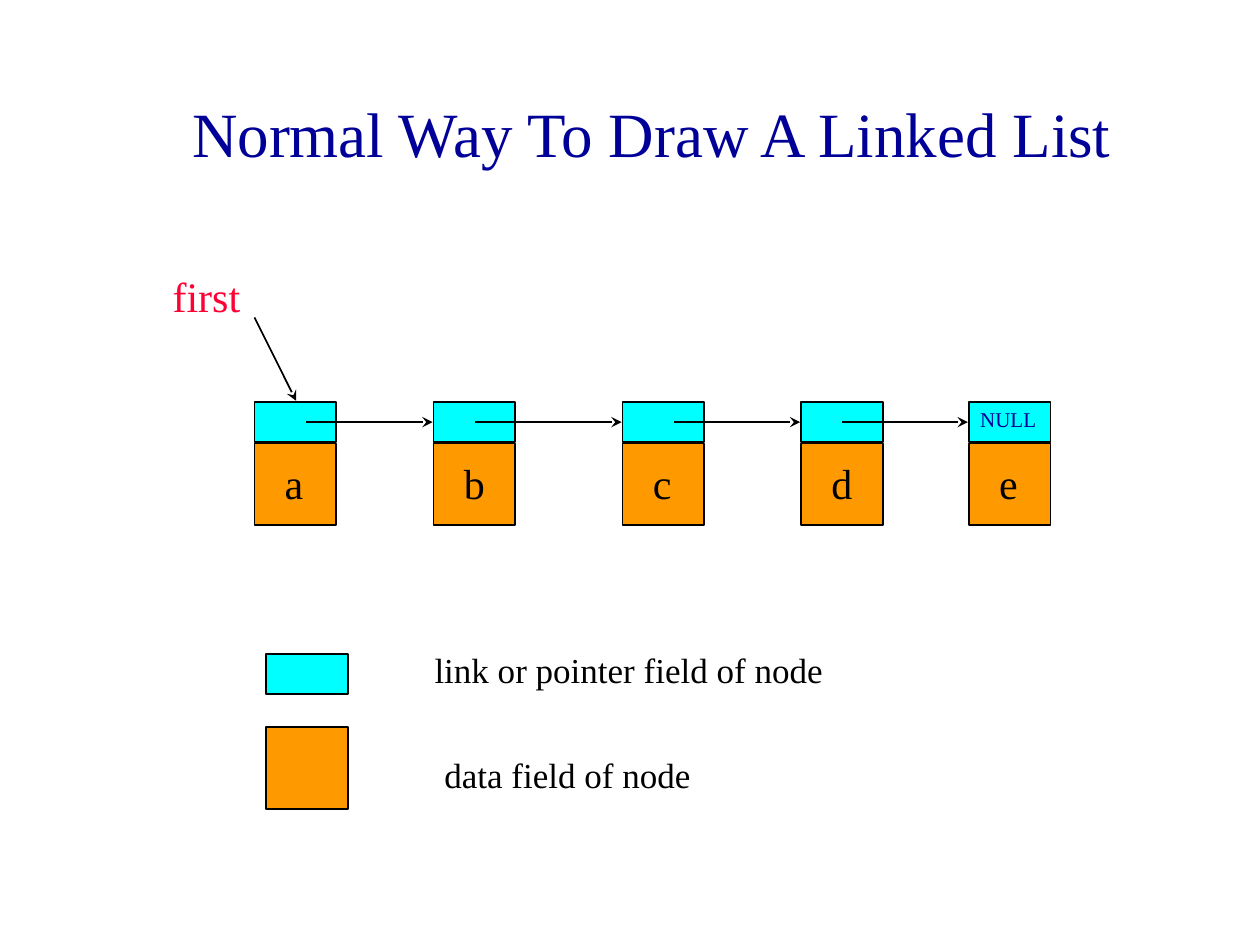
from lxml.etree import SubElement
from pptx import Presentation
from pptx.dml.color import RGBColor
from pptx.enum.shapes import MSO_CONNECTOR, MSO_SHAPE
from pptx.enum.text import MSO_ANCHOR, PP_ALIGN
from pptx.oxml.ns import qn
from pptx.util import Cm, Pt

NAVY = RGBColor(0x00, 0x00, 0x99)
CYAN = RGBColor(0x00, 0xFF, 0xFF)
ORANGE = RGBColor(0xFF, 0x99, 0x00)
RED = RGBColor(0xFF, 0x00, 0x33)
BLACK = RGBColor(0x00, 0x00, 0x00)

FIELD_WIDTH, LINK_HEIGHT, DATA_HEIGHT = 1.65, 0.81, 1.65


class ListSlide:
    """Holds the drawing style and the slide; all lengths are in cm."""

    font = "Times New Roman"
    line_width = Pt(1)

    def __init__(self, slide):
        self.slide = slide

    def text(self, words, left, top, width, height, size, color=BLACK,
             align=PP_ALIGN.LEFT, anchor=MSO_ANCHOR.TOP, wrap=True):
        box = self.slide.shapes.add_textbox(Cm(left), Cm(top), Cm(width), Cm(height))
        frame = box.text_frame
        frame.word_wrap = wrap
        frame.vertical_anchor = anchor
        paragraph = frame.paragraphs[0]
        paragraph.alignment = align
        run = paragraph.add_run()
        run.text = words
        run.font.name = self.font
        run.font.size = Pt(size)
        run.font.color.rgb = color

    def field(self, left, top, height, color):
        rect = self.slide.shapes.add_shape(
            MSO_SHAPE.RECTANGLE, Cm(left), Cm(top), Cm(FIELD_WIDTH), Cm(height))
        rect.shadow.inherit = False
        rect.fill.solid()
        rect.fill.fore_color.rgb = color
        rect.line.color.rgb = BLACK
        rect.line.width = self.line_width

    def link_field(self, left, top):
        self.field(left, top, LINK_HEIGHT, CYAN)

    def data_field(self, left, top):
        self.field(left, top, DATA_HEIGHT, ORANGE)

    def arrow(self, x1, y1, x2, y2):
        pointer = self.slide.shapes.add_connector(
            MSO_CONNECTOR.STRAIGHT, Cm(x1), Cm(y1), Cm(x2), Cm(y2))
        pointer.line.color.rgb = BLACK
        pointer.line.width = self.line_width
        SubElement(pointer.line._get_or_add_ln(), qn("a:tailEnd"), type="stealth")
        SubElement(pointer._element.spPr, qn("a:effectLst"))


def main():
    deck = Presentation()
    deck.slide_width, deck.slide_height = Cm(25.4), Cm(19.05)
    page = ListSlide(deck.slides.add_slide(deck.slide_layouts[6]))

    # Title
    page.text("Normal Way To Draw A Linked List", 2.34, 1.07, 21.59, 3.18, 36,
              NAVY, PP_ALIGN.CENTER, MSO_ANCHOR.MIDDLE)

    # Legend
    legend_left = 5.36
    page.link_field(legend_left, 13.18)
    page.text("link or pointer field of node", 8.51, 12.95, 9.7, 1.09, 20)
    page.data_field(legend_left, 14.66)
    page.text("data field of node", 8.71, 15.06, 13.97, 1.09, 20)

    # Nodes: data, left edge
    nodes = [("a", 5.13), ("b", 8.74), ("c", 12.55), ("d", 16.15), ("e", 19.53)]
    link_top, data_top, pointer_y = 8.1, 8.94, 8.51
    for data, left in nodes:
        page.data_field(left, data_top)
        page.link_field(left, link_top)
        page.text(data, left + 0.36, 9.09, 0.91, 1.27, 24, wrap=False)

    # Pointers from each link field to the next node
    pointer_starts = [6.17, 9.58, 13.59, 16.97]
    for start, (_, next_left) in zip(pointer_starts, nodes[1:]):
        page.arrow(start, pointer_y, next_left - 0.02, pointer_y)
    page.text("NULL", nodes[-1][1] - 0.02, 8.08, 1.7, 0.76, 12, NAVY)

    # Head of the list
    page.text("first", 3.23, 5.33, 4.65, 1.27, 24, RED)
    page.arrow(5.13, 6.4, 5.97, 8.08)

    deck.save("out.pptx")


if __name__ == "__main__":
    main()
